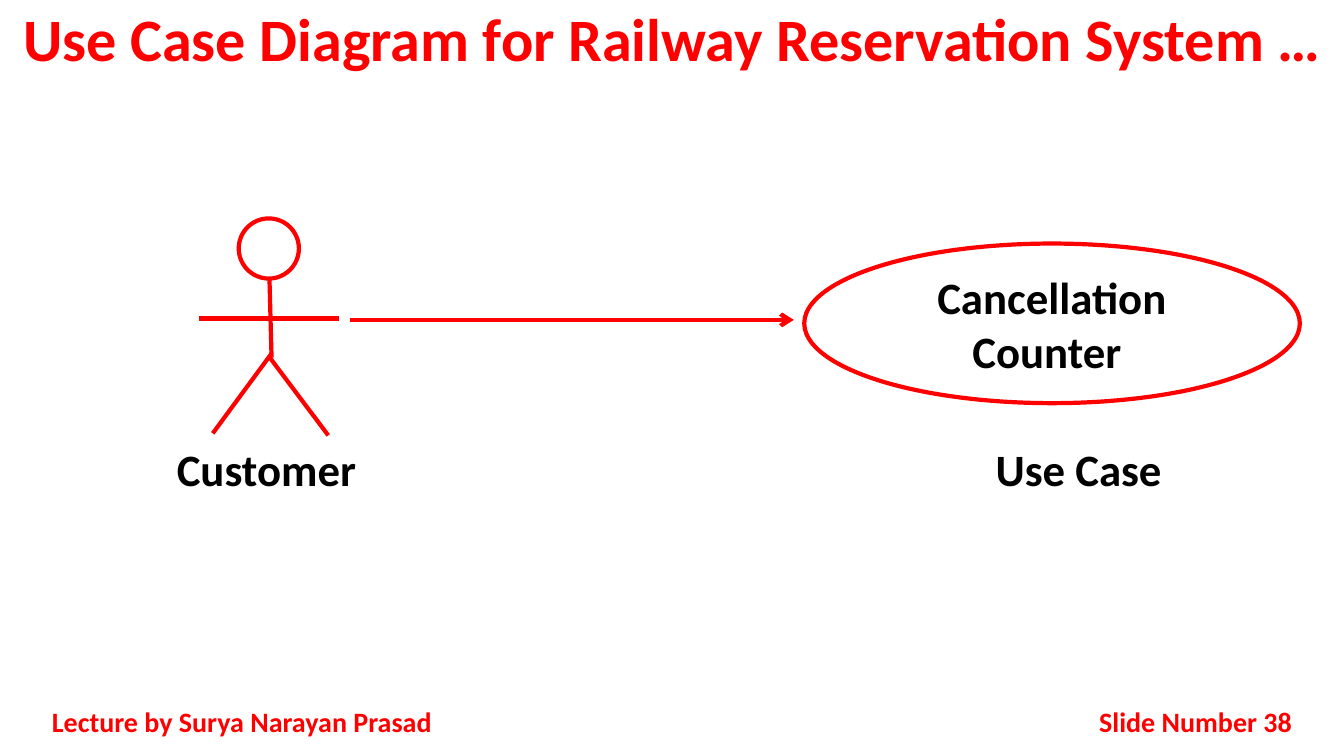
from dataclasses import dataclass

from lxml import etree
from pptx import Presentation
from pptx.dml.color import RGBColor
from pptx.enum.shapes import MSO_CONNECTOR, MSO_SHAPE
from pptx.enum.text import MSO_ANCHOR, PP_ALIGN
from pptx.oxml.ns import qn
from pptx.util import Pt

STRAIGHT = MSO_CONNECTOR.STRAIGHT
OVAL = MSO_SHAPE.OVAL
TOP, MIDDLE = MSO_ANCHOR.TOP, MSO_ANCHOR.MIDDLE
CENTER, RIGHT, JUSTIFY = PP_ALIGN.CENTER, PP_ALIGN.RIGHT, PP_ALIGN.JUSTIFY


@dataclass(frozen=True)
class Theme:
    """Colours, font and sizes of the slide."""
    accent: RGBColor = RGBColor(0xFF, 0, 0)
    ink: RGBColor = RGBColor(0, 0, 0)
    paper: RGBColor = RGBColor(0xFF, 0xFF, 0xFF)
    font: str = "Calibri"
    title: float = 43
    label: float = 32
    footer: float = 20
    stroke: float = 3


THEME = Theme()
SLIDE_WIDTH, SLIDE_HEIGHT = 960, 540


def write(frame, words, size, color, align, anchor):
    """Write one bold paragraph into a text frame."""
    frame.word_wrap = True
    frame.vertical_anchor = anchor
    paragraph = frame.paragraphs[0]
    paragraph.alignment = align
    run = paragraph.add_run()
    run.text = words
    run.font.name = THEME.font
    run.font.size = Pt(size)
    run.font.bold = True
    run.font.color.rgb = color
    return paragraph


def add_text(shapes, box, words, size, color, align, anchor=MIDDLE):
    """Add a text box and return its paragraph."""
    frame = shapes.add_textbox(*map(Pt, box)).text_frame
    return write(frame, words, size, color, align, anchor)


def add_stroke(shapes, start, end):
    """Draw a straight line between two points."""
    stroke = shapes.add_connector(STRAIGHT, *map(Pt, (*start, *end)))
    stroke.line.color.rgb = THEME.accent
    stroke.line.width = Pt(THEME.stroke)
    etree.SubElement(stroke._element.spPr, qn("a:effectLst"))
    return stroke


def add_oval(shapes, box):
    """Add an outlined oval."""
    oval = shapes.add_shape(OVAL, *map(Pt, box))
    oval.shadow.inherit = False
    oval.fill.solid()
    oval.fill.fore_color.rgb = THEME.paper
    oval.line.color.rgb = THEME.accent
    oval.line.width = Pt(THEME.stroke)
    return oval


def add_title(shapes, box, words):
    """Add the slide heading."""
    heading = add_text(shapes, box, words, THEME.title, THEME.accent, CENTER)
    heading.line_spacing = 0.9


def add_footer(shapes, box, lecturer, number):
    """Add the lecturer at the left and the slide number at the right."""
    left, top, width, height = box
    number_width = 198
    add_text(shapes, (left, top, 300, height), lecturer,
             THEME.footer, THEME.accent, JUSTIFY)
    add_text(shapes, (left + width - number_width, top, number_width, height),
             number, THEME.footer, THEME.accent, RIGHT)


def add_actor(shapes, box):
    """Draw a stick figure in the box."""
    left, top, width, height = box
    head = 43
    center = left + width / 2
    hip = top + 98
    arms = top + 71.5
    add_oval(shapes, (center - head / 2 - 0.5, top, head, head))
    limbs = [
        ((center, top + head), (center + 1.5, hip + 1.5)),
        ((center + 1.5, hip - 1.5), (left + 9.5, top + height - 1.5)),
        ((center - 0.5, hip + 0.5), (left + width - 8, top + height)),
        ((left, arms), (left + width, arms)),
    ]
    for start, end in limbs:
        add_stroke(shapes, start, end)


def add_use_case(shapes, box, words):
    """Draw the use case oval with its name."""
    use_case = add_oval(shapes, box)
    write(use_case.text_frame, words, THEME.label, THEME.ink, CENTER, MIDDLE)


def add_association(shapes, start, end):
    """Draw the arrow from actor to use case."""
    arrow = add_stroke(shapes, start, end)
    etree.SubElement(arrow.line._get_or_add_ln(), qn("a:tailEnd"), type="arrow")


def add_diagram(shapes, box):
    """Draw actor, association and use case with the captions below."""
    left, top, width, height = box
    actor_left, actor_width = left + 112.5, 100
    oval_width = 354
    oval_left = left + width - oval_width - 6
    arrow_y = top + 72.5
    gap = 7.5
    add_actor(shapes, (actor_left, top, actor_width, 155))
    add_use_case(shapes, (oval_left, top + 18, oval_width, 114),
                 "Cancellation Counter ")
    add_association(shapes, (actor_left + actor_width + gap, arrow_y),
                    (oval_left - gap, arrow_y))
    caption_width, caption_height = 328, 46
    captions = [(left, "Customer "), (left + width - caption_width, "Use Case")]
    for caption_left, words in captions:
        add_text(shapes, (caption_left, top + height - caption_height,
                          caption_width, caption_height),
                 words, THEME.label, THEME.ink, CENTER, TOP)


def main():
    """Build and save the slide."""
    deck = Presentation()
    deck.slide_width, deck.slide_height = Pt(SLIDE_WIDTH), Pt(SLIDE_HEIGHT)
    shapes = deck.slides.add_slide(deck.slide_layouts[6]).shapes
    add_title(shapes, (0, 0, SLIDE_WIDTH, 60),
              "Use Case Diagram for Railway Reservation System …")
    add_footer(shapes, (30, 500.5, 900, 29),
               "Lecture by Surya Narayan Prasad", "Slide Number 38")
    add_diagram(shapes.add_group_shape().shapes, (30, 156, 904.5, 202))
    deck.save("out.pptx")


if __name__ == "__main__":
    main()
